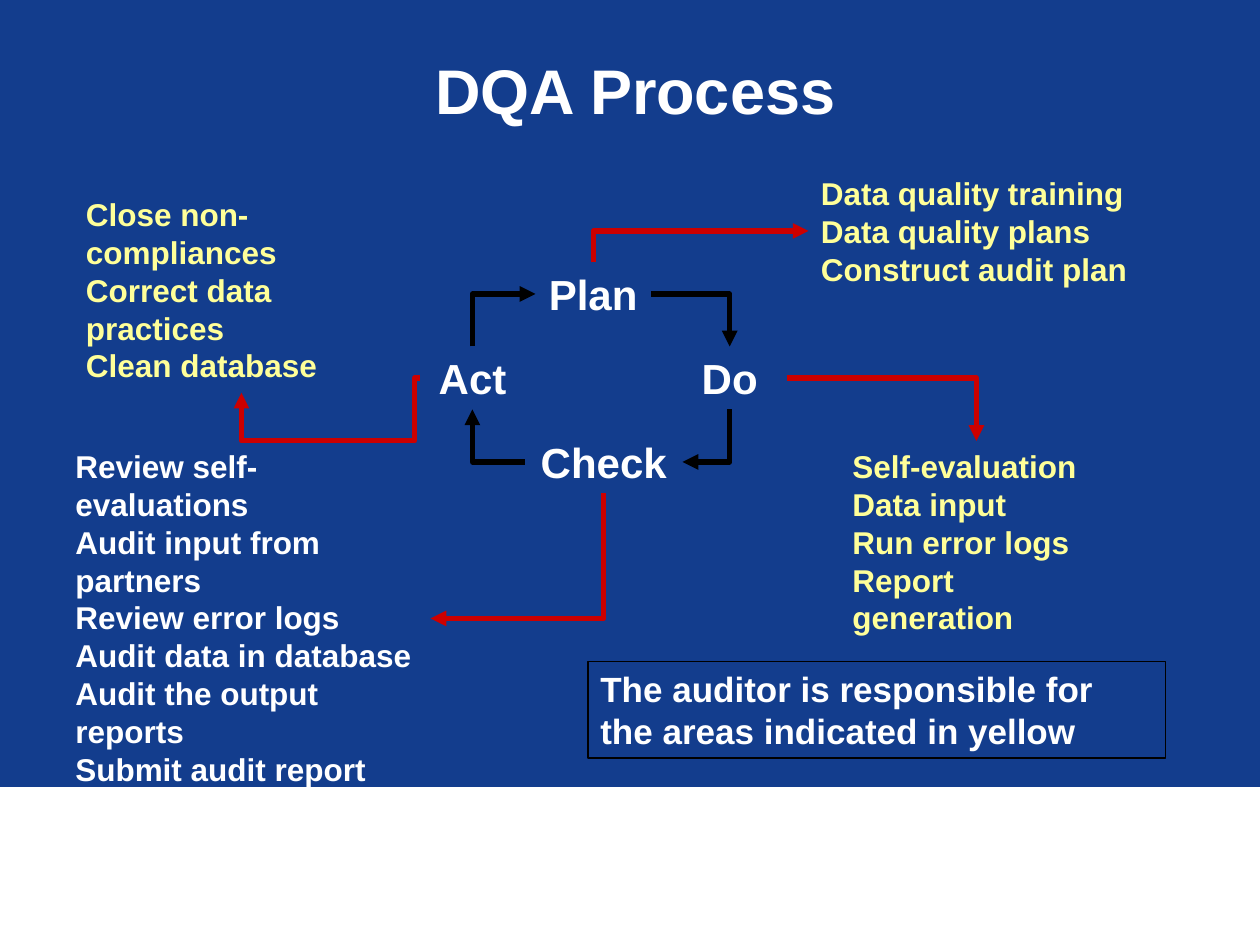
from lxml import etree
from pptx import Presentation
from pptx.dml.color import RGBColor
from pptx.enum.shapes import MSO_CONNECTOR, MSO_SHAPE
from pptx.enum.text import MSO_ANCHOR, MSO_AUTO_SIZE, PP_ALIGN
from pptx.oxml.ns import qn
from pptx.util import Pt

PX = 7620  # 120 px to the inch
ELBOW = MSO_CONNECTOR.ELBOW
RECT = MSO_SHAPE.RECTANGLE
LEFT, CENTER = PP_ALIGN.LEFT, PP_ALIGN.CENTER
TOP, MIDDLE = MSO_ANCHOR.TOP, MSO_ANCHOR.MIDDLE
FIT_SHAPE = MSO_AUTO_SIZE.SHAPE_TO_FIT_TEXT
BLUE, WHITE, YELLOW, RED, BLACK = "133D8D", "FFFFFF", "FFFF99", "CC0000", "000000"

STEPS = [  # name, box
    ("Plan", (510, 250, 110, 60)),
    ("Do", (640, 330, 110, 60)),
    ("Check", (500, 410, 150, 60)),
    ("Act", (400, 330, 100, 60)),
]
CYCLE_ARROWS = [  # start, end, leaves vertically
    ((620, 280), (695, 330), False),
    ((695, 390), (650, 440), True),
    ((500, 440), (450, 390), False),
    ((450, 330), (510, 280), True),
]
TASK_ARROWS = [
    ((565, 250), (770, 220), True),
    ((575, 470), (410, 589), True),
    ((750, 360), (930, 420), False),
]
TASKS = [  # box, colour, lines
    ((770, 160, 320, 120), YELLOW,
     ["Data quality training", "Data quality plans", "Construct audit plan"]),
    ((70, 180, 320, 192), YELLOW,
     ["Close non-compliances", "Correct data practices", "Clean database"]),
    ((60, 420, 350, 336), WHITE,
     ["Review self-evaluations", "Audit input from partners", "Review error logs",
      "Audit data in database", "Audit the output reports", "Submit audit report"]),
    ((800, 420, 260, 192), YELLOW,
     ["Self-evaluation", "Data input", "Run error logs", "Report generation"]),
]


def rgb(value):
    return RGBColor.from_string(value)


def emu(*lengths):
    return [round(n * PX) for n in lengths]


def write(shape, lines, size, color, align=LEFT, anchor=TOP):
    tf = shape.text_frame
    tf.word_wrap = True
    tf.vertical_anchor = anchor
    tf.text = "\n".join(lines)
    for p in tf.paragraphs:
        p.alignment = align
        for r in p.runs:
            r.font.name = "Arial"
            r.font.size = Pt(size)
            r.font.bold = True
            r.font.color.rgb = rgb(color)


def add_text(s, box, lines, size, color, align=LEFT):
    tb = s.shapes.add_textbox(*emu(*box))
    write(tb, lines, size, color, align)
    tb.text_frame.auto_size = FIT_SHAPE


def add_rect(s, box, line, width, fill=None):
    sp = s.shapes.add_shape(RECT, *emu(*box))
    sp.shadow.inherit = False
    if fill:
        sp.fill.solid()
        sp.fill.fore_color.rgb = rgb(fill)
    else:
        sp.fill.background()
    sp.line.color.rgb = rgb(line)
    sp.line.width = Pt(width)
    return sp


def add_arrow(s, start, end, color, vertical=False, preset="bentConnector2", adjust=()):
    (x0, y0), (x1, y1) = start, end
    if vertical:  # the frame lies on its side and is turned by 90 degrees
        cx, cy = (x0 + x1) / 2, (y0 + y1) / 2
        dx, dy = (x1 - x0) / 2, (y1 - y0) / 2
        x0, y0, x1, y1 = cx - dy, cy + dx, cx + dy, cy - dx
    c = s.shapes.add_connector(ELBOW, *emu(x0, y0, x1, y1))
    c.line.color.rgb = rgb(color)
    c.line.width = Pt(3)
    sppr = c._element.spPr
    if vertical:
        sppr.find(qn("a:xfrm")).set("rot", "5400000")
    geom = sppr.find(qn("a:prstGeom"))
    geom.set("prst", preset)
    if adjust:
        guides = geom.find(qn("a:avLst"))
        for i, value in enumerate(adjust, 1):
            etree.SubElement(guides, qn("a:gd"), name=f"adj{i}",
                             fmla=f"val {round(value * 100000)}")
    etree.SubElement(sppr.find(qn("a:ln")), qn("a:tailEnd"), type="triangle")
    etree.SubElement(sppr, qn("a:effectLst"))


def add_title(s, box, text):
    title = s.shapes.title
    title.left, title.top, title.width, title.height = emu(*box)
    write(title, [text], 36, WHITE, CENTER, MIDDLE)


def add_cycle(s):
    for name, box in STEPS:
        add_text(s, box, [name], 24, WHITE, CENTER)
    for start, end, vertical in CYCLE_ARROWS:
        add_arrow(s, start, end, BLACK, vertical)


def add_tasks(s):
    for box, color, lines in TASKS:
        add_text(s, box, lines, 18, color)
    for start, end, vertical in TASK_ARROWS:
        add_arrow(s, start, end, RED, vertical)
    # Act: 5 px left, 60 px down, across, then up to the list
    (x0, y0), (x1, y1) = start, end = (400, 360), (230, 374)
    add_arrow(s, start, end, RED, preset="bentConnector4",
              adjust=(5 / (x0 - x1), 60 / (y1 - y0)))


def add_note(s, box, text):
    sp = add_rect(s, box, BLACK, 1)
    write(sp, [text], 20, WHITE)


def main():
    prs = Presentation()
    prs.slide_width, prs.slide_height = emu(1200, 900)
    s = prs.slides.add_slide(prs.slide_layouts[5])
    s.background.fill.solid()
    s.background.fill.fore_color.rgb = rgb(BLUE)

    add_rect(s, (0, 750, 1200, 150), WHITE, 0.75, WHITE)  # footer band
    add_title(s, (80, 30, 1050, 110), "DQA Process")
    add_cycle(s)
    add_tasks(s)
    add_note(s, (560, 630, 550, 92),
             "The auditor is responsible for the areas indicated in yellow")
    prs.save("out.pptx")


if __name__ == "__main__":
    main()
